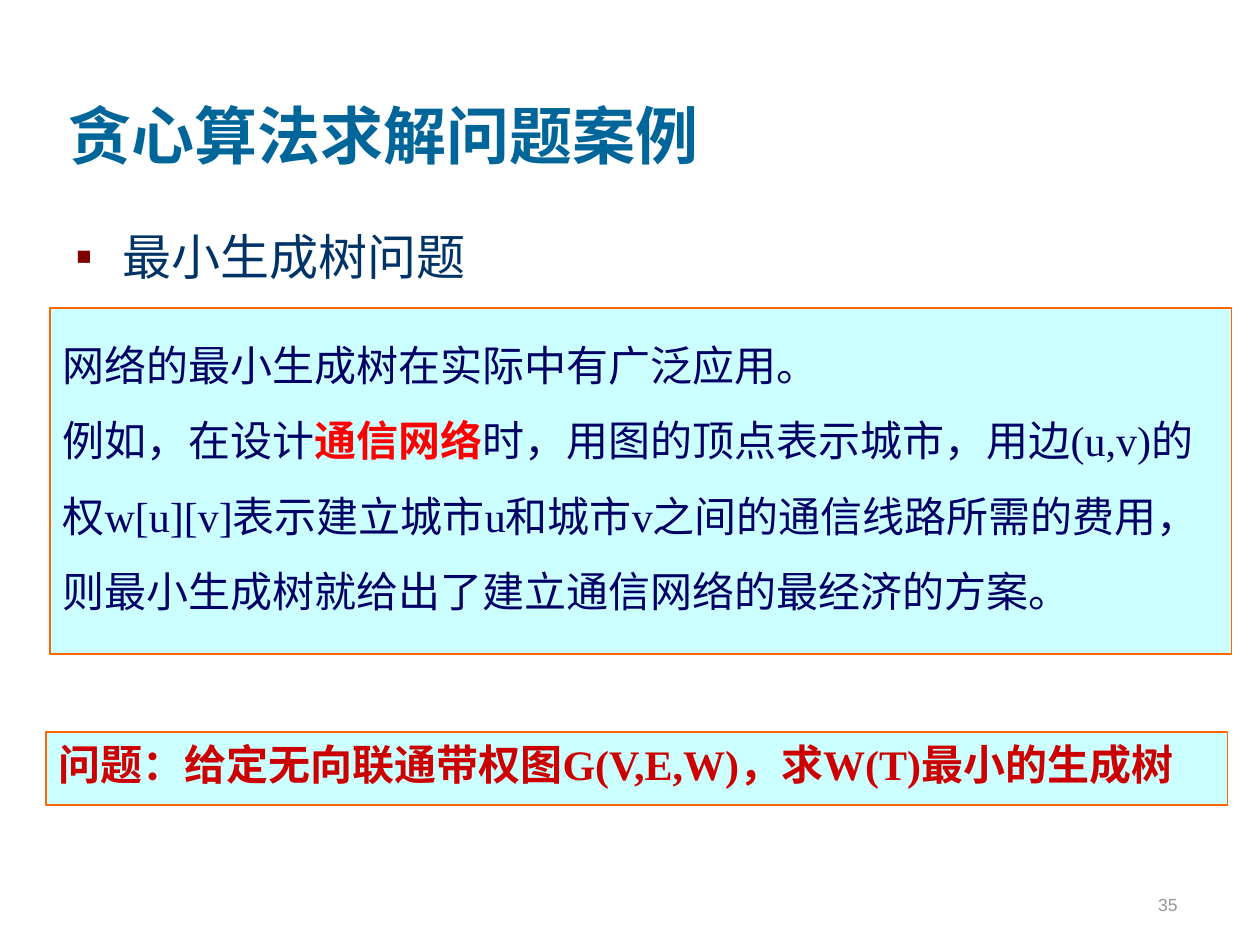
from lxml import etree
from pptx import Presentation
from pptx.dml.color import RGBColor
from pptx.enum.shapes import MSO_SHAPE
from pptx.enum.text import MSO_ANCHOR, PP_ALIGN
from pptx.oxml.ns import qn
from pptx.util import Pt

RECT = MSO_SHAPE.RECTANGLE
TOP, BOTTOM = MSO_ANCHOR.TOP, MSO_ANCHOR.BOTTOM
LEFT, RIGHT = PP_ALIGN.LEFT, PP_ALIGN.RIGHT
TEAL = RGBColor(0x00, 0x66, 0x99)
SLATE = RGBColor(0x00, 0x33, 0x66)
NAVY = RGBColor(0x00, 0x00, 0x66)
RED = RGBColor(0xFF, 0x00, 0x00)
CRIMSON = RGBColor(0xCC, 0x00, 0x00)
MAROON = RGBColor(0x80, 0x00, 0x00)
GRAY = RGBColor(0x96, 0x96, 0x96)
CYAN = RGBColor(0xCC, 0xFF, 0xFF)
ORANGE = RGBColor(0xFF, 0x66, 0x00)
SERIF, SANS = "Times New Roman", "Arial"

deck = Presentation()
deck.slide_width, deck.slide_height = Pt(720), Pt(540)
slide = deck.slides.add_slide(deck.slide_layouts[6])


def add_box(place, framed=False, anchor=TOP):
    area = [Pt(v) for v in place]
    if framed:
        box = slide.shapes.add_shape(RECT, *area)
        box.shadow.inherit = False
        box.fill.solid()
        box.fill.fore_color.rgb = CYAN
        box.line.color.rgb = ORANGE
        box.line.width = Pt(1)
    else:
        box = slide.shapes.add_textbox(*area)
    frame = box.text_frame
    frame.word_wrap = True
    frame.vertical_anchor = anchor
    return frame


def style(para, size, color, bold=False, face=SERIF, align=LEFT):
    para.alignment = align
    font = para.font
    font.name, font.size, font.bold = face, Pt(size), bold
    font.color.rgb = color
    # Keep punctuation inside the right margin
    para._p.get_or_add_pPr().set("hangingPunct", "0")


# Title
title = add_box((31.8, 12, 612, 90), anchor=BOTTOM).paragraphs[0]
title.text = "贪心算法求解问题案例"
style(title, 36, TEAL, bold=True)

# Bulleted topic
topic = add_box((36, 126, 644, 351)).paragraphs[0]
topic.text = "最小生成树问题"
topic.space_before = Pt(7)
style(topic, 28, SLATE)
props = topic._p.get_or_add_pPr()
props.set("marL", str(Pt(27)))
props.set("indent", str(-Pt(27)))
tint = etree.Element(qn("a:buClr"))
etree.SubElement(tint, qn("a:srgbClr"), val=str(MAROON))
face = etree.Element(qn("a:buFont"), typeface=SERIF)
mark = etree.Element(qn("a:buChar"), char="▪")
start = props.index(props.find(qn("a:defRPr")))
for step, part in enumerate((tint, face, mark)):
    props.insert(start + step, part)

# Page number
page = add_box((530, 490.5, 150, 36), anchor=BOTTOM).paragraphs[0]
page.text = "35"
page.space_before = Pt(6.2)
style(page, 10, GRAY, face=SANS, align=RIGHT)

# Framed example
frame = add_box((28.7, 175.8, 675, 198), framed=True)
intro, case = frame.paragraphs[0], frame.add_paragraph()
intro.text = "网络的最小生成树在实际中有广泛应用。"
case.add_run().text = "例如，在设计"
term = case.add_run()
term.text = "通信网络"
term.font.bold = True
term.font.color.rgb = RED
case.add_run().text = (
    "时，用图的顶点表示城市，用边(u,v)的权w[u][v]表示建立城市u和城市v之间的"
    "通信线路所需的费用，则最小生成树就给出了建立通信网络的最经济的方案。"
)
for para in (intro, case):
    para.line_spacing = 1.5
    style(para, 24, NAVY)

# Framed problem
task = add_box((26.4, 418.5, 675, 41.5), framed=True).paragraphs[0]
task.text = "问题：给定无向联通带权图G(V,E,W)，求W(T)最小的生成树"
style(task, 24, CRIMSON, bold=True)

deck.save("out.pptx")
